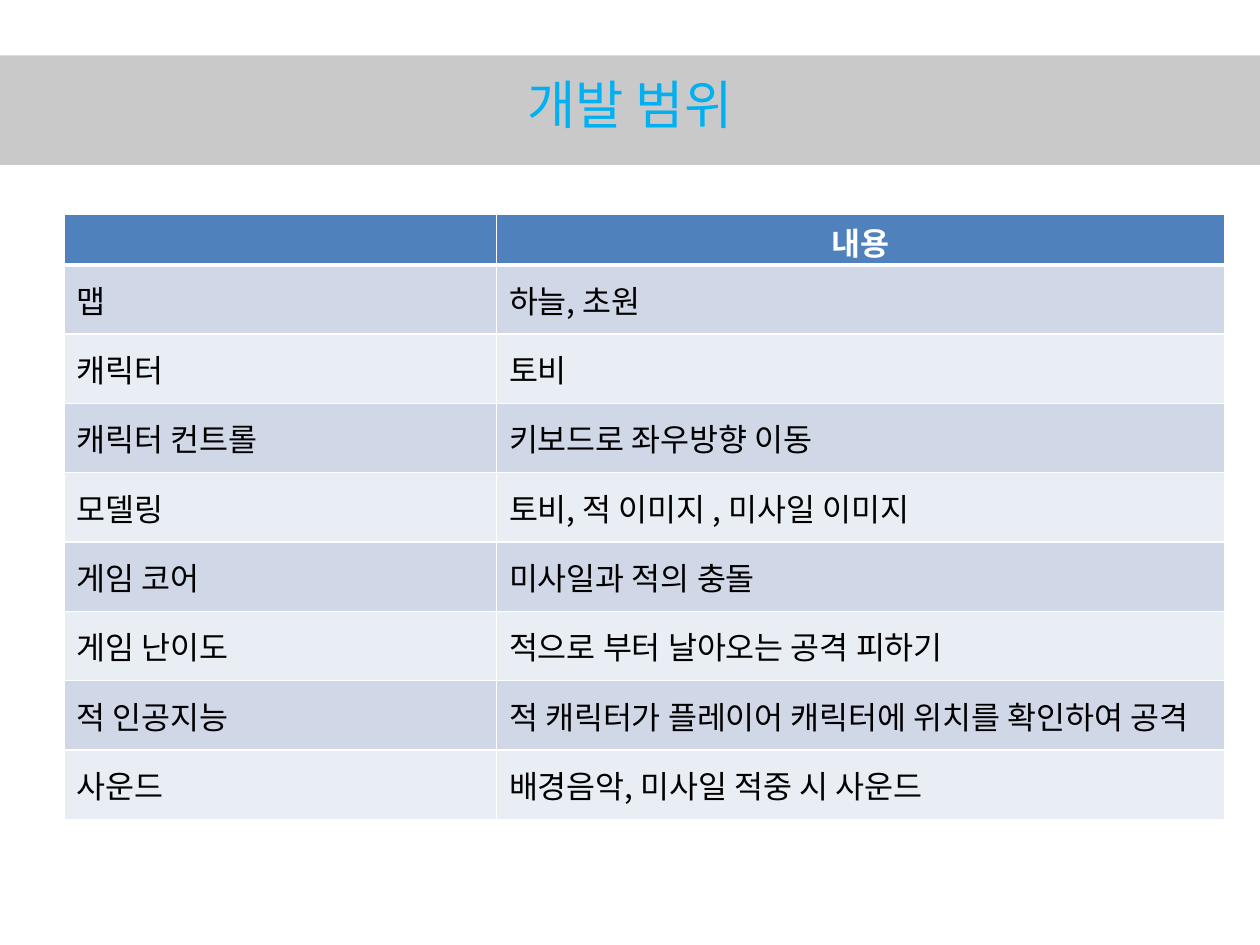
from dataclasses import dataclass

from lxml import etree
from pptx import Presentation
from pptx.dml.color import RGBColor
from pptx.enum.shapes import MSO_SHAPE
from pptx.enum.text import MSO_ANCHOR, MSO_AUTO_SIZE, PP_ALIGN
from pptx.oxml.ns import qn
from pptx.util import Inches, Pt

RECTANGLE = MSO_SHAPE.RECTANGLE
MIDDLE = MSO_ANCHOR.MIDDLE
NO_AUTOFIT = MSO_AUTO_SIZE.NONE
LEFT, CENTER = PP_ALIGN.LEFT, PP_ALIGN.CENTER
TITLE_ONLY = 5

SCOPE_ROWS = [
    ("", "내용"),
    ("맵", "하늘, 초원"),
    ("캐릭터", "토비"),
    ("캐릭터 컨트롤", "키보드로 좌우방향 이동"),
    ("모델링", "토비, 적 이미지 , 미사일 이미지"),
    ("게임 코어", "미사일과 적의 충돌"),
    ("게임 난이도", "적으로 부터 날아오는 공격 피하기"),
    ("적 인공지능", "적 캐릭터가 플레이어 캐릭터에 위치를 확인하여 공격"),
    ("사운드", "배경음악, 미사일 적중 시 사운드"),
]


@dataclass(frozen=True)
class Theme:
    font: str = "Noto Sans CJK KR"
    title_size: int = 30
    table_size: int = 18
    title: str = "00B0F0"
    band: str = "595959"
    band_opacity: int = 32
    header: str = "4F81BD"
    header_text: str = "FFFFFF"
    body_text: str = "000000"
    stripes: tuple = ("D0D8E8", "E9EDF4")
    border: str = "FFFFFF"
    border_width: int = 1
    header_rule: int = 3


class SlideBuilder:
    def __init__(self, slide, theme):
        self.slide = slide
        self.theme = theme

    def add_text(self, frame, text, size, color, align=LEFT, bold=False):
        para = frame.paragraphs[0]
        para.alignment = align
        span = para.add_run()
        span.text = text
        font = span.font
        font.name, font.size, font.bold = self.theme.font, Pt(size), bold
        font.color.rgb = RGBColor.from_string(color)
        properties = span._r.get_or_add_rPr()
        east_asian = etree.Element(qn("a:ea"), typeface=self.theme.font)
        properties.find(qn("a:latin")).addnext(east_asian)

    def title(self, text, left, top, width, height):
        box = self.slide.shapes.title
        box.left, box.top, box.width, box.height = map(Inches, (left, top, width, height))
        frame = box.text_frame
        frame.word_wrap = False
        frame.auto_size = NO_AUTOFIT
        frame.vertical_anchor = MIDDLE
        self.add_text(frame, text, self.theme.title_size, self.theme.title, CENTER)

    def band_behind_title(self, left, top, width, height):
        shapes = self.slide.shapes
        band = shapes.add_shape(RECTANGLE, *map(Inches, (left, top, width, height)))
        band.shadow.inherit = False
        band.line.fill.background()
        band.fill.solid()
        band.fill.fore_color.rgb = RGBColor.from_string(self.theme.band)
        color = band.element.spPr.find(qn("a:solidFill")).find(qn("a:srgbClr"))
        etree.SubElement(color, qn("a:alpha"), val=str(self.theme.band_opacity * 1000))
        shapes.title.element.addprevious(band.element)

    def borders(self, cell, widths):
        properties = cell._tc.get_or_add_tcPr()
        for position, (side, width) in enumerate(widths.items()):
            line = etree.Element(qn(f"a:ln{side}"), w=str(Pt(width)))
            fill = etree.SubElement(line, qn("a:solidFill"))
            etree.SubElement(fill, qn("a:srgbClr"), val=self.theme.border)
            properties.insert(position, line)

    def table(self, rows, left, top, column_widths, header_height, row_height):
        theme = self.theme
        heights = [header_height] + [row_height] * (len(rows) - 1)
        area = map(Inches, (left, top, sum(column_widths), sum(heights)))
        table = self.slide.shapes.add_table(len(rows), len(column_widths), *area).table
        for column, width in zip(table.columns, column_widths):
            column.width = Inches(width)
        for index, (values, height) in enumerate(zip(rows, heights)):
            table.rows[index].height = Inches(height)
            is_header = index == 0
            fill = theme.header if is_header else theme.stripes[(index - 1) % 2]
            color = theme.header_text if is_header else theme.body_text
            widths = dict.fromkeys("LRTB", theme.border_width)
            if is_header:
                widths["B"] = theme.header_rule
            elif index == 1:
                widths["T"] = theme.header_rule
            for cell, text in zip(table.rows[index].cells, values):
                cell.fill.solid()
                cell.fill.fore_color.rgb = RGBColor.from_string(fill)
                cell.vertical_anchor = MIDDLE
                if is_header:
                    cell.margin_top, cell.margin_bottom = Inches(0.04), 0
                self.borders(cell, widths)
                if text:
                    align = CENTER if is_header else LEFT
                    self.add_text(cell.text_frame, text, theme.table_size, color, align, is_header)


def main():
    deck = Presentation()
    deck.slide_width, deck.slide_height = Inches(10), Inches(7.5)
    page = deck.slides.add_slide(deck.slide_layouts[TITLE_ONLY])
    builder = SlideBuilder(page, Theme())
    builder.band_behind_title(0, 0.44, 10, 0.87)
    builder.title("개발 범위", 3.66, 0.52, 2.68, 0.61)
    builder.table(SCOPE_ROWS, 0.51, 1.7, (3.43, 5.78), 0.4, 0.55)
    deck.save("out.pptx")


if __name__ == "__main__":
    main()
